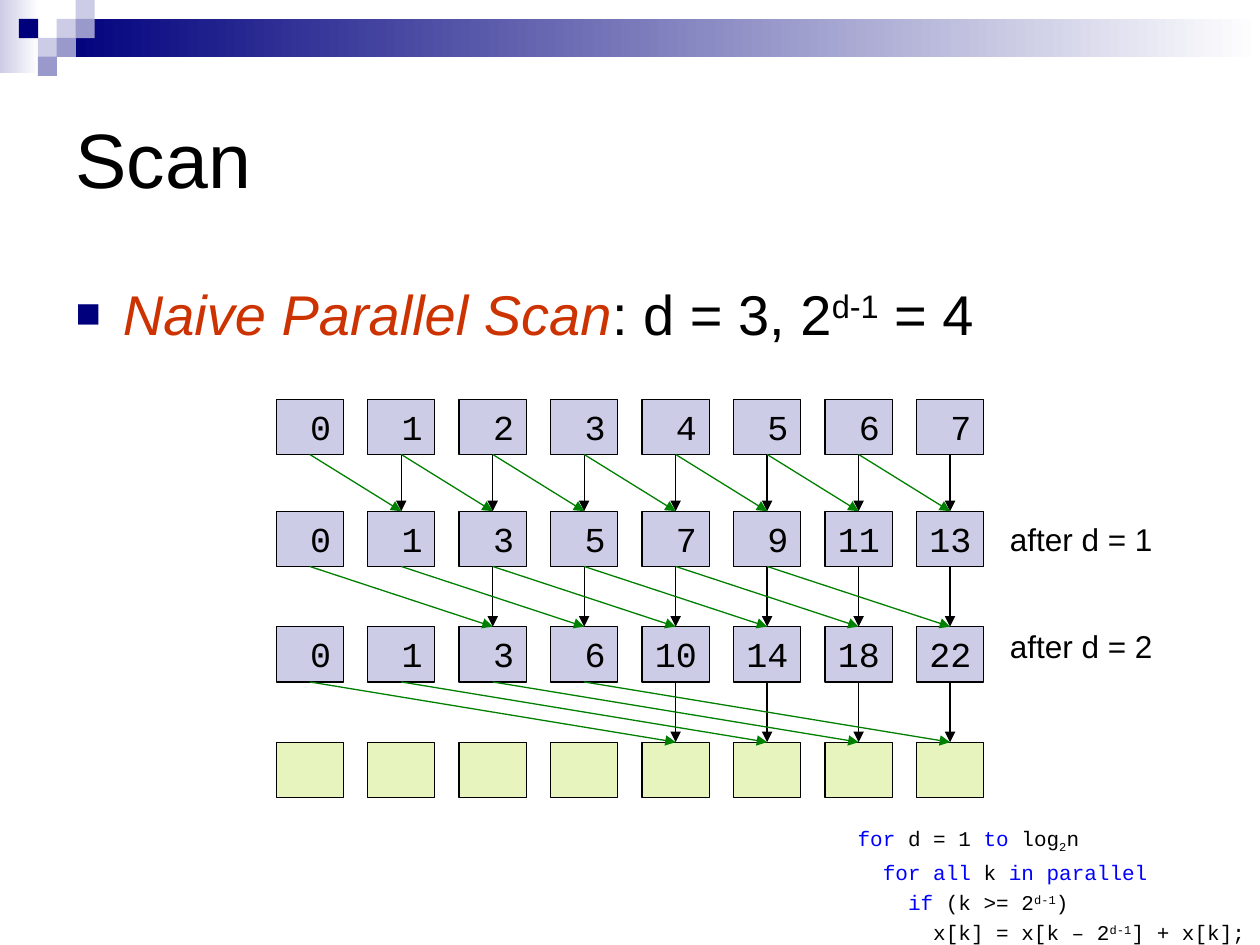
from lxml import etree
from pptx import Presentation
from pptx.dml.color import RGBColor as RGB
from pptx.enum.shapes import MSO_CONNECTOR as CONN, MSO_SHAPE as SHAPE
from pptx.enum.text import MSO_ANCHOR as ANCHOR, PP_ALIGN as ALIGN
from pptx.oxml.ns import qn
from pptx.util import Pt

BLACK = RGB(0x00, 0x00, 0x00)
WHITE = RGB(0xFF, 0xFF, 0xFF)
NAVY = RGB(0x00, 0x00, 0x7D)
MID = RGB(0x99, 0x99, 0xCC)
LAVENDER = RGB(0xCC, 0xCC, 0xE6)
LIME = RGB(0xE7, 0xF4, 0xBE)
GREEN = RGB(0x00, 0x80, 0x00)
RUST = RGB(0xCC, 0x33, 0x00)
BLUE = RGB(0x00, 0x00, 0xFF)
SANS, MONO = "Arial", "Courier New"

ROWS = [
    [0, 1, 2, 3, 4, 5, 6, 7],
    [0, 1, 3, 5, 7, 9, 11, 13],
    [0, 1, 3, 6, 10, 14, 18, 22],
    [None] * 8,
]
ROW_TOPS = [0, 64, 130, 196]
CODE = [
    [("for", BLUE), (" d = 1 ", BLACK), ("to", BLUE), (" log", BLACK),
     ("2", BLACK, -25), ("n", BLACK)],
    [("for all", BLUE), (" k ", BLACK), ("in parallel", BLUE)],
    [("if ", BLUE), ("(k >= 2", BLACK), ("d-1", BLACK, 30), (")", BLACK)],
    [("x[k] = x[k – 2", BLACK), ("d-1", BLACK, 30), ("] + x[k];", BLACK)],
]


def add_run(p, text, size, color=BLACK, font=SANS, base=0, italic=None):
    r = p.add_run()
    r.text = text
    r.font.size, r.font.name, r.font.italic = Pt(size), font, italic
    r.font.color.rgb = color
    if base:
        r._r.get_or_add_rPr().set("baseline", str(base * 1000))


def place(sp, box):
    sp.left, sp.top, sp.width, sp.height = map(Pt, box)


def add_rect(s, box, fill, line=None):
    sp = s.shapes.add_shape(SHAPE.RECTANGLE, *map(Pt, box))
    sp.shadow.inherit = False
    if isinstance(fill, tuple) and not isinstance(fill, RGB):
        sp.fill.gradient()
        sp.fill.gradient_angle = 0
        for stop, color in zip(sp.fill.gradient_stops, fill):
            stop.color.rgb = color
    else:
        sp.fill.solid()
        sp.fill.fore_color.rgb = fill
    if line is None:
        sp.line.fill.background()
    else:
        sp.line.color.rgb, sp.line.width = line, Pt(0.75)
    return sp


def add_arrow(s, start, end, color):
    c = s.shapes.add_connector(CONN.STRAIGHT, 0, 0, 0, 0)
    c.begin_connect(start, 2)
    c.end_connect(end, 0)
    c.line.color.rgb, c.line.width = color, Pt(0.75)
    etree.SubElement(c.line._get_or_add_ln(), qn("a:tailEnd"), type="triangle")
    etree.SubElement(c._element.spPr, qn("a:effectLst"))


def draw_banner(s, box):
    x, y, w, h = box
    step = 10.8
    add_rect(s, (x, y, 22.3, h), (LAVENDER, WHITE))
    add_rect(s, (x + 3 * step, y + step, w - 3 * step, 21.6), (NAVY, WHITE))
    for col, row, color in [(3, 1, LAVENDER), (4, 0, LAVENDER), (4, 1, MID),
                            (2, 2, LAVENDER), (1, 1, NAVY), (3, 2, MID), (2, 3, MID)]:
        add_rect(s, (x + col * step, y + row * step, 11, 11), color)


def write_title(s, box):
    sp = s.shapes.title
    place(sp, box)
    tf = sp.text_frame
    tf.vertical_anchor = ANCHOR.MIDDLE
    p = tf.paragraphs[0]
    p.alignment = ALIGN.LEFT
    add_run(p, "Scan", 44)


def write_body(s, box):
    sp = s.placeholders[1]
    place(sp, box)
    p = sp.text_frame.paragraphs[0]
    p.space_before = Pt(8)
    pPr = p._p.get_or_add_pPr()
    pPr.set("marL", str(Pt(27)))
    pPr.set("indent", str(-Pt(27)))
    clr = etree.SubElement(pPr, qn("a:buClr"))
    etree.SubElement(clr, qn("a:srgbClr"), val=str(NAVY))
    etree.SubElement(pPr, qn("a:buSzPct"), val="75000")
    etree.SubElement(pPr, qn("a:buFont"), typeface=SANS)
    etree.SubElement(pPr, qn("a:buChar"), char="■")
    add_run(p, "Naive Parallel Scan", 32, RUST, italic=True)
    add_run(p, ": d = 3, 2", 32)
    add_run(p, "d-1", 32, base=30)
    add_run(p, " = 4", 32)


def draw_cell(s, box, value):
    sp = add_rect(s, box, LAVENDER if value is not None else LIME, BLACK)
    if value is not None:
        tf = sp.text_frame
        tf.margin_left = tf.margin_right = Pt(7)
        tf.vertical_anchor = ANCHOR.TOP
        p = tf.paragraphs[0]
        p.alignment = ALIGN.RIGHT
        add_run(p, str(value), 20, font=MONO)
    return sp


def draw_scan(s, box):
    x, y, w, h = box
    cell_w, cell_h = 38.4, h - ROW_TOPS[-1]
    pitch = (w - cell_w) / (len(ROWS[0]) - 1)
    grid = [[draw_cell(s, (x + i * pitch, y + top, cell_w, cell_h), value)
             for i, value in enumerate(row)]
            for top, row in zip(ROW_TOPS, ROWS)]
    for d, (upper, lower) in enumerate(zip(grid, grid[1:])):
        offset = 2 ** d
        for k in range(offset, len(lower)):
            add_arrow(s, upper[k], lower[k], BLACK)
        for k in range(offset, len(lower)):
            add_arrow(s, upper[k - offset], lower[k], GREEN)


def write_label(s, box, text):
    tf = s.shapes.add_textbox(*map(Pt, box)).text_frame
    tf.word_wrap = False
    add_run(tf.paragraphs[0], text, 18)


def write_code(s, box):
    tf = s.shapes.add_textbox(*map(Pt, box)).text_frame
    tf.word_wrap = True
    for level, line in enumerate(CODE):
        p = tf.paragraphs[0] if level == 0 else tf.add_paragraph()
        p.space_before = Pt(3)
        p._p.get_or_add_pPr().set("marL", str(Pt(14.4 * level)))
        for text, color, *base in line:
            add_run(p, text, 12, color, MONO, *base)


def main():
    prs = Presentation()
    prs.slide_width, prs.slide_height = Pt(720), Pt(540)
    s = prs.slides.add_slide(prs.slide_layouts[1])
    draw_banner(s, (0, 0, 720, 42))
    write_title(s, (36, 36, 648, 108))
    write_body(s, (36, 156, 648, 306))
    draw_scan(s, (157.8, 228.1, 404.3, 227.6))
    write_label(s, (570, 293.8, 96, 29), "after d = 1")
    write_label(s, (570, 355, 96, 29), "after d = 2")
    write_code(s, (483, 468, 243, 78))
    prs.save("out.pptx")


if __name__ == "__main__":
    main()
